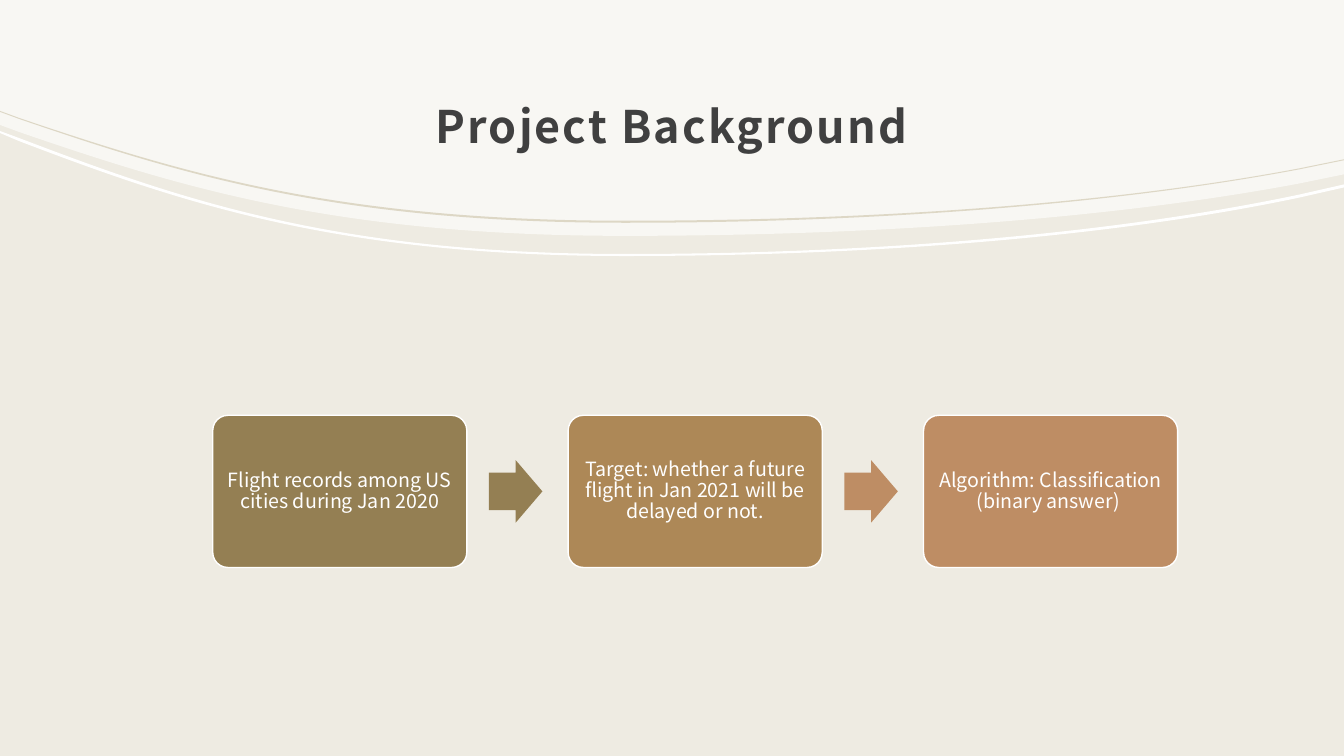
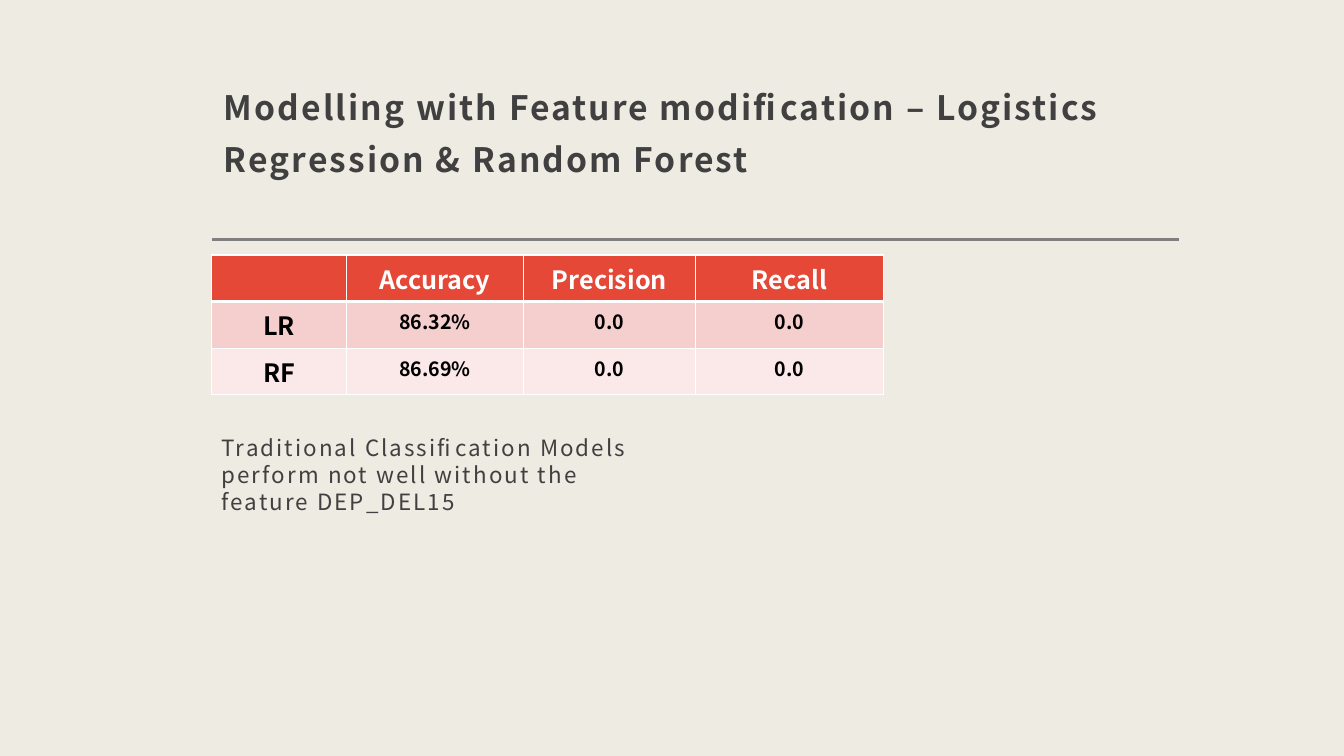
from dataclasses import dataclass

from lxml import etree
from pptx import Presentation
from pptx import util as u
from pptx.dml.color import RGBColor
from pptx.enum import shapes, text
from pptx.oxml import ns


@dataclass(frozen=True)
class Theme:
    font: str = "Noto Sans CJK JP"
    background: str = "EEEBE2"
    white: str = "FFFFFF"
    black: str = "000000"
    ink: str = "404040"
    rule: str = "808080"
    curve: str = "DDD7C5"
    olive: str = "947F53"
    ochre: str = "AD8857"
    copper: str = "BE8D64"
    header: str = "E54837"
    rows: tuple[str, ...] = ("F5CFCE", "FAE9E8")
    title_size: int = 32
    long_title_size: int = 24
    label_size: int = 18
    note_size: int = 16
    small_size: int = 14
    tracking: float = 1.5


@dataclass(frozen=True)
class Box:
    left: float
    top: float
    width: float
    height: float

    def lengths(self) -> tuple[int, ...]:
        return tuple(u.Inches(side) for side in (self.left, self.top, self.width, self.height))


@dataclass(frozen=True)
class Band:
    upper: tuple[float, ...]
    lower: tuple[float, ...]
    color: str
    opacity: int = 100


@dataclass(frozen=True)
class Step:
    caption: str
    color: str
    arrow_color: str | None = None


THEME = Theme()
WIDTH, HEIGHT = 13.33, 7.5
TITLE_INSETS = (0.12, 0.12, 0.12, 0.1)
CURVE_X = (0, 0.19, 1.79, 3.33, 6.2, 8.75, 11.09, 12.89, WIDTH)
CURVE_STARTS = (2, 5)
STRAIGHT_TOP = (0, 0)
BANDS = (
    Band(STRAIGHT_TOP, (1.24, 1.31, 1.86, 2.34, 2.34, 2.34, 2.16, 1.82, 1.73),
         THEME.white, 60),
    Band((1.3, 1.37, 1.98, 2.52, 2.52, 2.52, 2.31, 1.93, 1.83),
         (1.32, 1.4, 2.01, 2.54, 2.54, 2.54, 2.34, 1.96, 1.86), THEME.white),
    Band((1.1, 1.17, 1.71, 2.19, 2.19, 2.19, 2.01, 1.67, 1.58),
         (1.11, 1.18, 1.73, 2.21, 2.21, 2.21, 2.02, 1.68, 1.59), THEME.curve),
)
STEPS = (
    Step("Flight records among US cities during Jan 2020", THEME.olive, THEME.olive),
    Step("Target: whether a future flight in Jan 2021 will be delayed or not.",
         THEME.ochre, THEME.copper),
    Step("Algorithm: Classification (binary answer) ", THEME.copper),
)
SCORES = (
    ("", "Accuracy", "Precision", "Recall"),
    ("LR", "86.32%", "0.0", "0.0"),
    ("RF", "86.69%", "0.0", "0.0"),
)


def write_text(frame, words: str, *, size: float, color: str, bold: bool = False,
               tracking: float = 0, align=text.PP_ALIGN.LEFT, spacing: float = 1,
               anchor=None, insets: tuple[float, ...] | None = None) -> None:
    frame.word_wrap = True
    if anchor is not None:
        frame.vertical_anchor = anchor
    if insets:
        (frame.margin_left, frame.margin_top,
         frame.margin_right, frame.margin_bottom) = map(u.Inches, insets)
    para = frame.paragraphs[0]
    para.alignment = align
    para.line_spacing = spacing
    span = para.add_run()
    span.text = words
    span.font.name = THEME.font
    span.font.size = u.Pt(size)
    span.font.bold = bold
    span.font.color.rgb = RGBColor.from_string(color)
    if tracking:
        span.font._element.set("spc", str(round(tracking * 100)))


def paint(shape, color: str, outline: str | None = None) -> None:
    shape.shadow.inherit = False
    shape.fill.solid()
    shape.fill.fore_color.rgb = RGBColor.from_string(color)
    if outline:
        shape.line.color.rgb = RGBColor.from_string(outline)
        shape.line.width = u.Pt(1)
    else:
        shape.line.fill.background()


def place_title(page, words: str, box: Box, *, size: float, align, anchor) -> None:
    title = page.shapes.title
    title.left, title.top, title.width, title.height = box.lengths()
    title.text_frame.auto_size = text.MSO_AUTO_SIZE.NONE
    write_text(title.text_frame, words, size=size, color=THEME.ink, bold=True,
               tracking=THEME.tracking, align=align, spacing=1.3, anchor=anchor,
               insets=TITLE_INSETS)


def edge_points(heights: tuple[float, ...]) -> list[tuple[int, int]]:
    positions = CURVE_X if len(heights) == len(CURVE_X) else (0, WIDTH)
    return [(u.Inches(x), u.Inches(y)) for x, y in zip(positions, heights)]


def bend_segments(shape, starts: list[int]) -> None:
    segments = list(shape._element.spPr.find(f".//{ns.qn('a:path')}"))
    for start in starts:
        curve = etree.Element(ns.qn("a:cubicBezTo"))
        segments[start].addprevious(curve)
        for segment in segments[start:start + 3]:
            curve.append(segment[0])
            segment.getparent().remove(segment)


def draw_band(page, band: Band) -> None:
    upper, lower = edge_points(band.upper), edge_points(band.lower)[::-1]
    outline = upper + lower
    builder = page.shapes.build_freeform(*outline[0])
    builder.add_line_segments(outline[1:], close=True)
    shape = builder.convert_to_shape()
    starts = [len(upper) + start for start in CURVE_STARTS]
    if band.upper != STRAIGHT_TOP:
        starts.extend(CURVE_STARTS)
    bend_segments(shape, starts)
    paint(shape, band.color)
    if band.opacity < 100:
        color = shape._element.spPr.find(f".//{ns.qn('a:srgbClr')}")
        etree.SubElement(color, ns.qn("a:alpha"), val=str(band.opacity * 1000))


def draw_steps(page, steps: tuple[Step, ...], area: Box) -> None:
    card_width, arrow_width, arrow_height, arrow_gap = 2.52, 0.53, 0.62, 0.22
    pitch = (area.width - card_width) / (len(steps) - 1)
    for index, step in enumerate(steps):
        left = area.left + index * pitch
        card = page.shapes.add_shape(shapes.MSO_SHAPE.ROUNDED_RECTANGLE,
                                     *Box(left, area.top, card_width, area.height).lengths())
        card.adjustments[0] = 0.1
        paint(card, step.color, THEME.white)
        write_text(card.text_frame, step.caption, size=THEME.small_size, color=THEME.white,
                   align=text.PP_ALIGN.CENTER, spacing=0.9,
                   anchor=text.MSO_ANCHOR.MIDDLE, insets=(0.06,) * 4)
        if step.arrow_color:
            arrow_box = Box(left + card_width + arrow_gap,
                            area.top + (area.height - arrow_height) / 2,
                            arrow_width, arrow_height)
            arrow = page.shapes.add_shape(shapes.MSO_SHAPE.RIGHT_ARROW, *arrow_box.lengths())
            arrow.adjustments[0], arrow.adjustments[1] = 0.6, 0.5
            paint(arrow, step.arrow_color)


def draw_rule(page, left: float, right: float, top: float) -> None:
    rule = page.shapes.add_connector(shapes.MSO_CONNECTOR.STRAIGHT, u.Inches(left),
                                     u.Inches(top), u.Inches(right), u.Inches(top))
    rule.line.color.rgb = RGBColor.from_string(THEME.rule)
    rule.line.width = u.Pt(2)
    etree.SubElement(rule._element.spPr, ns.qn("a:effectLst"))


def border_cell(cell, widths: dict[str, float]) -> None:
    properties = cell._tc.get_or_add_tcPr()
    for side, width in widths.items():
        line = etree.SubElement(properties, ns.qn(f"a:ln{side}"), w=str(u.Pt(width)))
        fill = etree.SubElement(line, ns.qn("a:solidFill"))
        etree.SubElement(fill, ns.qn("a:srgbClr"), val=THEME.white)


def draw_scores(page, scores: tuple[tuple[str, ...], ...], left: float, top: float) -> None:
    column_widths, row_height = (1.34, 1.75, 1.71, 1.86), 0.46
    box = Box(left, top, sum(column_widths), row_height * len(scores))
    table = page.shapes.add_table(len(scores), len(column_widths), *box.lengths()).table
    for column, width in zip(table.columns, column_widths):
        column.width = u.Inches(width)
    for row_index, row in enumerate(scores):
        is_header = row_index == 0
        for column_index, words in enumerate(row):
            cell = table.cell(row_index, column_index)
            border_cell(cell, {"L": 1, "R": 1, "T": 3 if row_index == 1 else 1,
                               "B": 3 if is_header else 1})
            cell.fill.solid()
            color = THEME.header if is_header else THEME.rows[(row_index - 1) % 2]
            cell.fill.fore_color.rgb = RGBColor.from_string(color)
            if words:
                is_label = is_header or column_index == 0
                write_text(cell.text_frame, words, bold=True, align=text.PP_ALIGN.CENTER,
                           size=THEME.label_size if is_label else THEME.small_size,
                           color=THEME.white if is_header else THEME.black)


def build_background_page(page) -> None:
    for band in BANDS:
        draw_band(page, band)
    title = page.shapes.title._element
    title.getparent().append(title)
    place_title(page, "Project Background", Box(1.33, 0.59, 10.67, 1.14),
                size=THEME.title_size, align=text.PP_ALIGN.CENTER,
                anchor=text.MSO_ANCHOR.MIDDLE)
    draw_steps(page, STEPS, Box(2.11, 4.12, 9.57, 1.51))


def build_modelling_page(page) -> None:
    left, width = 2.1, 9.59
    draw_rule(page, left, left + width, 2.38)
    place_title(page,
                "Modelling with Feature modification – Logistics Regression & Random Forest",
                Box(left, 0.48, width, 1.4), size=THEME.long_title_size,
                align=text.PP_ALIGN.LEFT, anchor=text.MSO_ANCHOR.BOTTOM)
    draw_scores(page, SCORES, left, 2.53)
    note = page.shapes.add_textbox(*Box(left, 4.26, 4.57, 0.91).lengths())
    write_text(note.text_frame,
               "Traditional Classification Models perform not well without the feature DEP_DEL15",
               size=THEME.note_size, color=THEME.ink, tracking=THEME.tracking)


def main() -> None:
    deck = Presentation()
    deck.slide_width, deck.slide_height = u.Inches(WIDTH), u.Inches(HEIGHT)
    backdrop = deck.slide_master.background.fill
    backdrop.solid()
    backdrop.fore_color.rgb = RGBColor.from_string(THEME.background)
    title_only = deck.slide_layouts[5]
    for build_page in (build_background_page, build_modelling_page):
        build_page(deck.slides.add_slide(title_only))
    deck.save("out.pptx")


if __name__ == "__main__":
    main()
